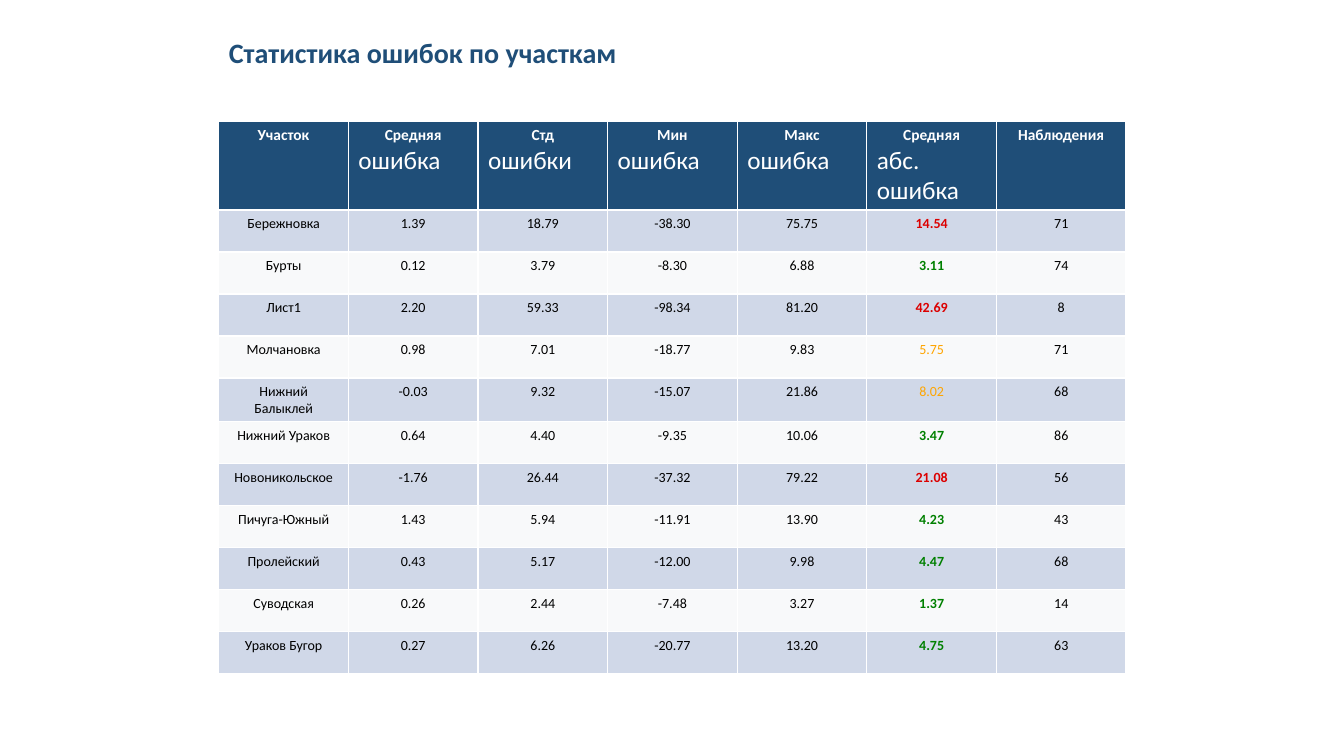
from pptx import Presentation
from pptx.dml.color import RGBColor
from pptx.enum.text import MSO_ANCHOR, MSO_AUTO_SIZE, PP_ALIGN
from pptx.util import Inches, Pt

NAVY = RGBColor(0x1F, 0x4E, 0x78)
WHITE = RGBColor(0xFF, 0xFF, 0xFF)
BLACK = RGBColor(0, 0, 0)
BLUE_BAND = RGBColor(0xD0, 0xD8, 0xE8)
LIGHT_BAND = RGBColor(0xF8, 0xF9, 0xFA)
RED = RGBColor(0xDC, 0, 0)
GREEN = RGBColor(0, 0x80, 0)
ORANGE = RGBColor(0xFF, 0xA5, 0)

HEADINGS = [
    ("Участок",),
    ("Средняя", "ошибка"),
    ("Стд", "ошибки"),
    ("Мин", "ошибка"),
    ("Макс", "ошибка"),
    ("Средняя", "абс. ошибка"),
    ("Наблюдения",),
]
SITES = [
    ("Бережновка", "1.39", "18.79", "-38.30", "75.75", "14.54", "71"),
    ("Бурты", "0.12", "3.79", "-8.30", "6.88", "3.11", "74"),
    ("Лист1", "2.20", "59.33", "-98.34", "81.20", "42.69", "8"),
    ("Молчановка", "0.98", "7.01", "-18.77", "9.83", "5.75", "71"),
    ("Нижний Балыклей", "-0.03", "9.32", "-15.07", "21.86", "8.02", "68"),
    ("Нижний Ураков", "0.64", "4.40", "-9.35", "10.06", "3.47", "86"),
    ("Новоникольское", "-1.76", "26.44", "-37.32", "79.22", "21.08", "56"),
    ("Пичуга-Южный", "1.43", "5.94", "-11.91", "13.90", "4.23", "43"),
    ("Пролейский", "0.43", "5.17", "-12.00", "9.98", "4.47", "68"),
    ("Суводская", "0.26", "2.44", "-7.48", "3.27", "1.37", "14"),
    ("Ураков Бугор", "0.27", "6.26", "-20.77", "13.20", "4.75", "63"),
]
ABS_ERROR_COLUMN = 5


def add_text(paragraph, text, size, color, bold, align):
    paragraph.alignment = align
    run = paragraph.add_run()
    run.text = text
    run.font.name = "Calibri"
    run.font.size = Pt(size)
    run.font.bold = bold
    run.font.color.rgb = color


def fill_cell(cell, color):
    cell.fill.solid()
    cell.fill.fore_color.rgb = color


def error_style(abs_error):
    if abs_error < 5:
        return GREEN, True
    if abs_error < 10:
        return ORANGE, False
    return RED, True


def add_title(slide, left, top, width, height):
    title = slide.shapes.title
    title.left, title.top = Inches(left), Inches(top)
    title.width, title.height = Inches(width), Inches(height)
    frame = title.text_frame
    frame.word_wrap = False
    frame.auto_size = MSO_AUTO_SIZE.SHAPE_TO_FIT_TEXT
    frame.vertical_anchor = MSO_ANCHOR.TOP
    add_text(frame.paragraphs[0], "Статистика ошибок по участкам", 20, NAVY, True, PP_ALIGN.LEFT)


def add_heading(cell, lines):
    fill_cell(cell, NAVY)
    frame = cell.text_frame
    add_text(frame.paragraphs[0], lines[0], 11, WHITE, True, PP_ALIGN.CENTER)
    for line in lines[1:]:
        add_text(frame.add_paragraph(), line, 18, WHITE, False, PP_ALIGN.LEFT)


def add_error_table(slide, left, top, width, height):
    table = slide.shapes.add_table(
        len(SITES) + 1, len(HEADINGS),
        Inches(left), Inches(top), Inches(width), Inches(height),
    ).table
    for column, lines in enumerate(HEADINGS):
        add_heading(table.cell(0, column), lines)
    for row, site in enumerate(SITES, start=1):
        for column, value in enumerate(site):
            cell = table.cell(row, column)
            fill_cell(cell, BLUE_BAND if row % 2 else LIGHT_BAND)
            color, bold = BLACK, False
            if column == ABS_ERROR_COLUMN:
                color, bold = error_style(float(value))
            add_text(cell.text_frame.paragraphs[0], value, 10, color, bold, PP_ALIGN.CENTER)


def main():
    deck = Presentation()
    deck.slide_width, deck.slide_height = Inches(13.33), Inches(7.5)
    slide = deck.slides.add_slide(deck.slide_layouts[5])
    add_title(slide, 2.17, 0.3, 4.07, 0.44)
    add_error_table(slide, 2.17, 1.2, 9, 5)
    deck.save("out.pptx")


if __name__ == "__main__":
    main()
